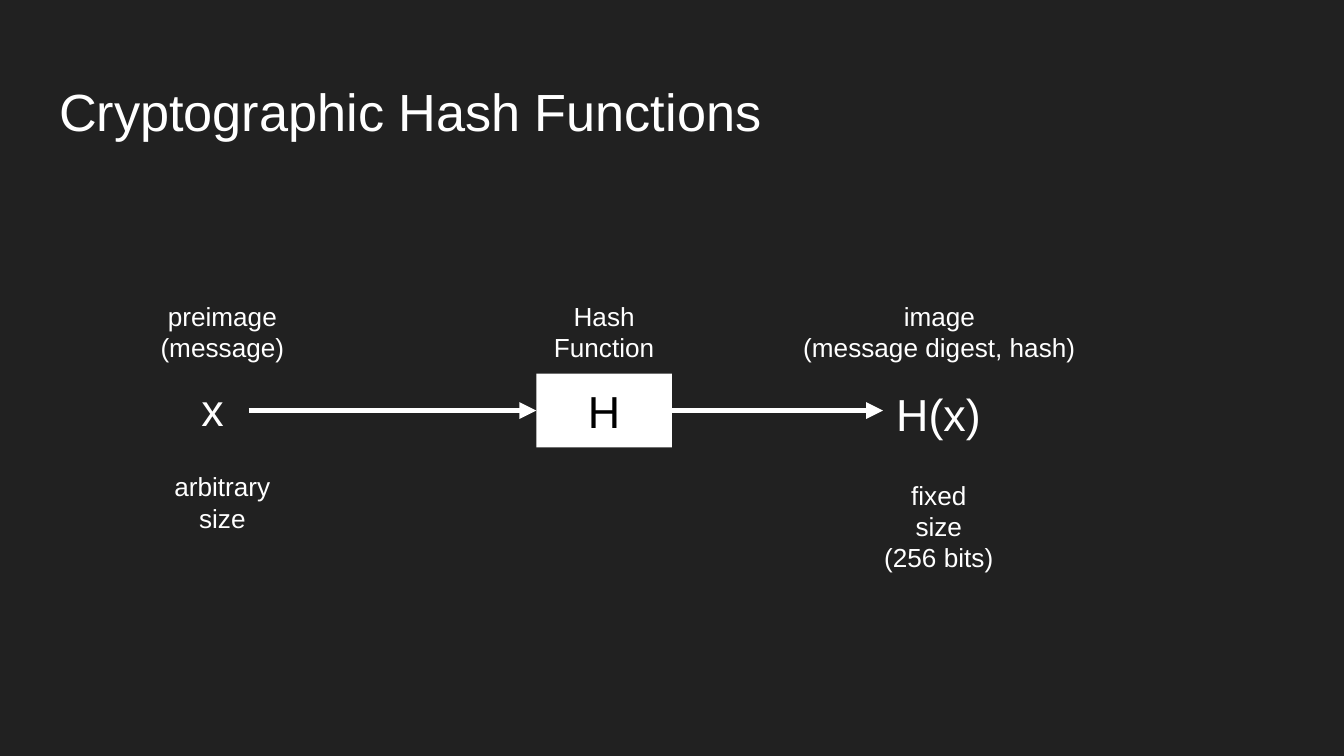
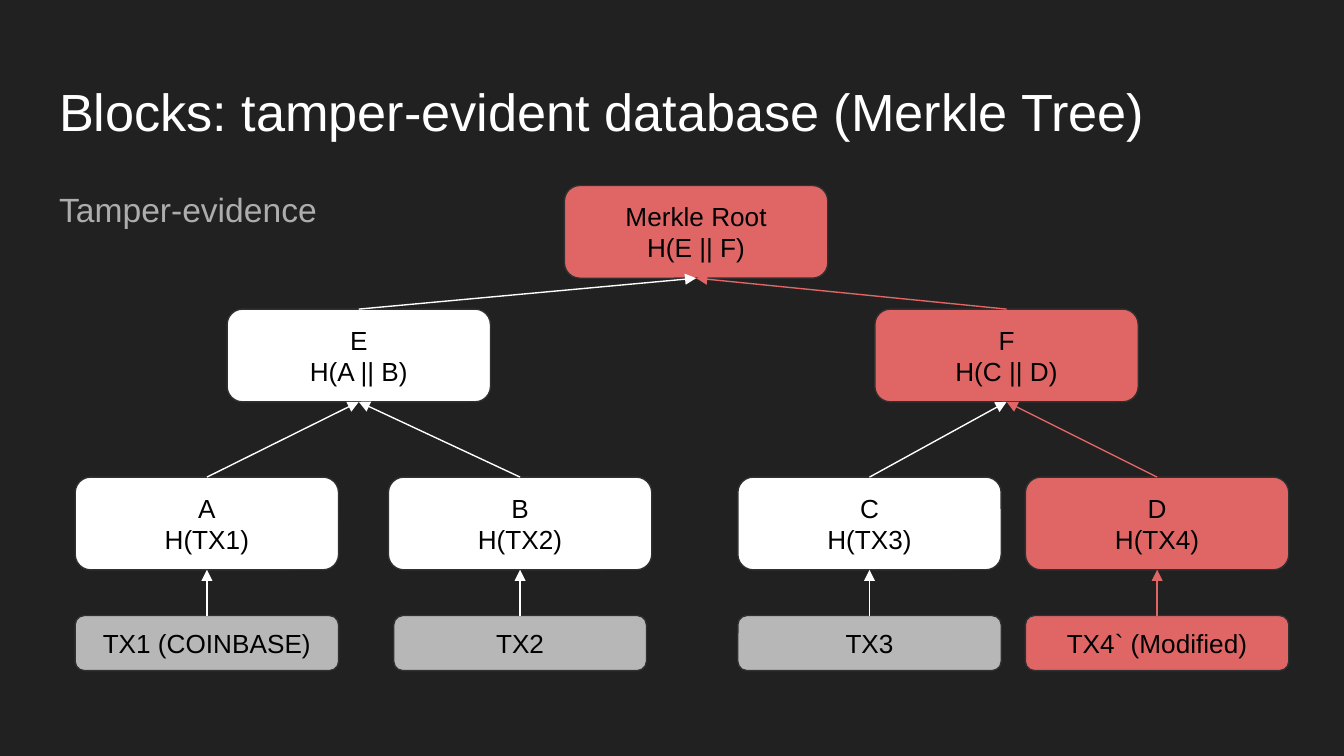
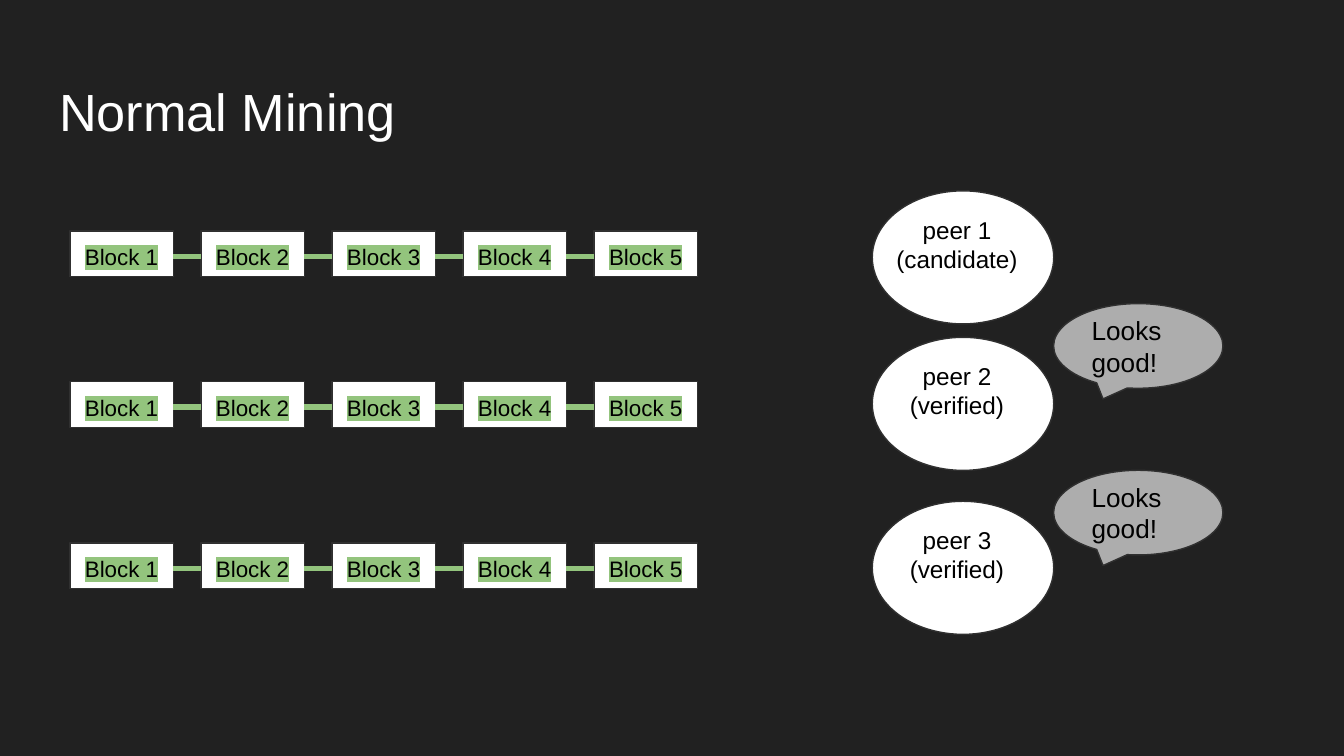
from lxml import etree
from pptx import Presentation
from pptx import util as u
from pptx.dml.color import RGBColor
from pptx.enum import shapes, text
from pptx.oxml.ns import qn

COLORS = {
    "background": "212121",
    "white": "FFFFFF",
    "black": "000000",
    "outline": "303030",
    "red": "E06666",
    "silver": "B7B7B7",
    "gray": "ADADAD",
    "green": "93C47D",
}
FONT = "Arial"
LEFT, CENTER = text.PP_ALIGN.LEFT, text.PP_ALIGN.CENTER
TOP, MIDDLE = text.MSO_ANCHOR.TOP, text.MSO_ANCHOR.MIDDLE
SHAPE = shapes.MSO_SHAPE
SIDE_TOP, SIDE_LEFT, SIDE_BOTTOM, SIDE_RIGHT = range(4)

presentation = Presentation()
presentation.slide_width, presentation.slide_height = u.Inches(10), u.Inches(5.625)
UNIT = presentation.slide_width / 100  # square grid, 100 columns wide


def dress(shape, place, lines=(), size=14, color="black", fill=None,
          outline=None, align=CENTER, anchor=MIDDLE):
    """Place a shape on the grid (left, top, width, height), then style and fill it."""
    shape.left, shape.top, shape.width, shape.height = (round(n * UNIT) for n in place)
    if fill:
        shape.shadow.inherit = False
        shape.fill.solid()
        shape.fill.fore_color.rgb = RGBColor.from_string(COLORS[fill])
        if outline:
            shape.line.color.rgb = RGBColor.from_string(COLORS[outline])
            shape.line.width = u.Pt(0.75)
        else:
            shape.line.fill.background()
    frame = shape.text_frame
    frame.word_wrap = True
    frame.auto_size = text.MSO_AUTO_SIZE.NONE
    frame.vertical_anchor = anchor
    frame.margin_left = frame.margin_right = round(UNIT)
    frame.margin_top = frame.margin_bottom = round(UNIT)
    for index, line in enumerate(lines):
        paragraph = frame.add_paragraph() if index else frame.paragraphs[0]
        paragraph.alignment = align
        run = paragraph.add_run()
        run.text = line
        run.font.name = FONT
        run.font.size = u.Pt(size)
        run.font.color.rgb = RGBColor.from_string(COLORS[color])
    return shape


def join(slide, start, start_side, end, end_side, color, width=0.75, arrow=True):
    connector = slide.shapes.add_connector(shapes.MSO_CONNECTOR.STRAIGHT, 0, 0, 0, 0)
    connector.begin_connect(start, start_side)
    connector.end_connect(end, end_side)
    connector.line.color.rgb = RGBColor.from_string(COLORS[color])
    connector.line.width = u.Pt(width)
    properties = connector.element.spPr
    if arrow:
        etree.SubElement(properties.find(qn("a:ln")), qn("a:tailEnd"), type="triangle")
    etree.SubElement(properties, qn("a:effectLst"))


# Shared background and titles
background = presentation.slide_master.background.fill
background.solid()
background.fore_color.rgb = RGBColor.from_string(COLORS["background"])

TITLE_ONLY, TITLE_AND_BODY = 5, 1
slides = []
for title, layout in [
    ("Cryptographic Hash Functions", TITLE_ONLY),
    ("Blocks: tamper-evident database (Merkle Tree)", TITLE_AND_BODY),
    ("Normal Mining", TITLE_ONLY),
]:
    slide = presentation.slides.add_slide(presentation.slide_layouts[layout])
    dress(slide.shapes.title, (3.4, 4.9, 93.2, 6.3), [title], 28, "white",
          align=LEFT, anchor=TOP)
    slides.append(slide)
hash_slide, tree_slide, mining_slide = slides

# Hash function: input, function, output
symbols = []
for symbol, place in [("x", (14, 27.4, 4.5, 6.3)), ("H(x)", (65.7, 27.8, 8.3, 5.5))]:
    box = hash_slide.shapes.add_textbox(0, 0, 0, 0)
    symbols.append(dress(box, place, [symbol], 24, "white", align=LEFT, anchor=TOP))
message, digest = symbols
function = dress(hash_slide.shapes.add_shape(SHAPE.RECTANGLE, 0, 0, 0, 0),
                 (39.9, 27.8, 10.1, 5.5), ["H"], 24, fill="white")
join(hash_slide, message, SIDE_RIGHT, function, SIDE_LEFT, "white", 3)
join(hash_slide, function, SIDE_RIGHT, digest, SIDE_LEFT, "white", 3)

for place, lines in [
    ((10.1, 21.9, 12.9, 5.5), ["preimage", "(message)"]),
    ((57.9, 21.9, 24, 5.5), ["image", "(message digest, hash)"]),
    ((39.9, 21.9, 10.1, 5.5), ["Hash", "Function"]),
    ((10.1, 34.6, 12.9, 5.5), ["arbitrary size"]),
    ((63.4, 35.5, 12.9, 7.3), ["fixed", "size", "(256 bits)"]),
]:
    dress(hash_slide.shapes.add_textbox(0, 0, 0, 0), place, lines, color="white")

# Merkle tree: every node points up to its parent
body = dress(tree_slide.placeholders[1], (3.4, 12.6, 93.2, 37.4), ["Tamper-evidence"],
             18, "gray", align=LEFT, anchor=TOP)
paragraph = body.text_frame.paragraphs[0]
paragraph.line_spacing = 1.15
paragraph.space_before, paragraph.space_after = u.Pt(0), u.Pt(16)
bullet = paragraph._p.get_or_add_pPr()
bullet.set("marL", "0")
bullet.set("indent", "0")
etree.SubElement(bullet, qn("a:buNone"))

NODE_WIDTH = 19.6
LEVELS = [(13.8, 6.9), (23, 6.9), (35.5, 6.9), (45.8, 4.1)]  # top, height
nodes = {}
for name, formula, level, center, fill, parent in [
    ("Merkle Root", "H(E || F)", 0, 51.8, "red", None),
    ("E", "H(A || B)", 1, 26.7, "white", "Merkle Root"),
    ("F", "H(C || D)", 1, 74.9, "red", "Merkle Root"),
    ("A", "H(TX1)", 2, 15.4, "white", "E"),
    ("B", "H(TX2)", 2, 38.7, "white", "E"),
    ("C", "H(TX3)", 2, 64.7, "white", "F"),
    ("D", "H(TX4)", 2, 86.1, "red", "F"),
    ("TX1 (COINBASE)", None, 3, 15.4, "silver", "A"),
    ("TX2", None, 3, 38.7, "silver", "B"),
    ("TX3", None, 3, 64.7, "silver", "C"),
    ("TX4` (Modified)", None, 3, 86.1, "red", "D"),
]:
    top, height = LEVELS[level]
    width = 18.8 if name == "TX2" else NODE_WIDTH
    node = tree_slide.shapes.add_shape(SHAPE.ROUNDED_RECTANGLE, 0, 0, 0, 0)
    nodes[name] = dress(node, (center - width / 2, top, width, height),
                        [name, formula] if formula else [name],
                        fill=fill, outline="outline")
    if parent:
        join(tree_slide, node, SIDE_TOP, nodes[parent], SIDE_BOTTOM,
             "red" if fill == "red" else "white")

# Mining: one chain of blocks and one peer in each row
BLOCK_LEFT, BLOCK_STEP, BLOCK_WIDTH = 5.2, 9.75, 7.7
for peer, (chain_top, peer_top, status) in enumerate([
    (17.2, 14.2, "(candidate)"),
    (28.4, 25.1, "(verified)"),
    (40.4, 37.3, "(verified)"),
], 1):
    previous = None
    for column in range(5):
        left = BLOCK_LEFT + column * BLOCK_STEP
        block = dress(mining_slide.shapes.add_shape(SHAPE.RECTANGLE, 0, 0, 0, 0),
                      (left, chain_top, BLOCK_WIDTH, 3.4), fill="white", outline="outline")
        label = dress(mining_slide.shapes.add_textbox(0, 0, 0, 0),
                      (left, chain_top + 1.4, BLOCK_WIDTH, 1), [f"Block {column + 1}"], 12)
        run_properties = label.text_frame.paragraphs[0].runs[0]._r.get_or_add_rPr()
        highlight = etree.Element(qn("a:highlight"))
        etree.SubElement(highlight, qn("a:srgbClr"), val=COLORS["green"])
        run_properties.find(qn("a:latin")).addprevious(highlight)
        mining_slide.shapes.add_group_shape([block, label])
        if previous:
            join(mining_slide, label, SIDE_LEFT, previous, SIDE_RIGHT, "green", 3, arrow=False)
        previous = label

    circle = dress(mining_slide.shapes.add_shape(SHAPE.OVAL, 0, 0, 0, 0),
                   (64.9, peer_top, 13.5, 9.9), fill="white", outline="outline")
    caption = dress(mining_slide.shapes.add_textbox(0, 0, 0, 0),
                    (65.5, peer_top + 0.8, 11.4, 6.4), [f"peer {peer}", status], 13,
                    anchor=TOP)
    mining_slide.shapes.add_group_shape([circle, caption])

for top in (22.6, 35):
    dress(mining_slide.shapes.add_shape(SHAPE.OVAL_CALLOUT, 0, 0, 0, 0),
          (78.4, top, 12.6, 6.3), ["Looks good!"], fill="gray", outline="outline", align=LEFT)

presentation.save("out.pptx")
